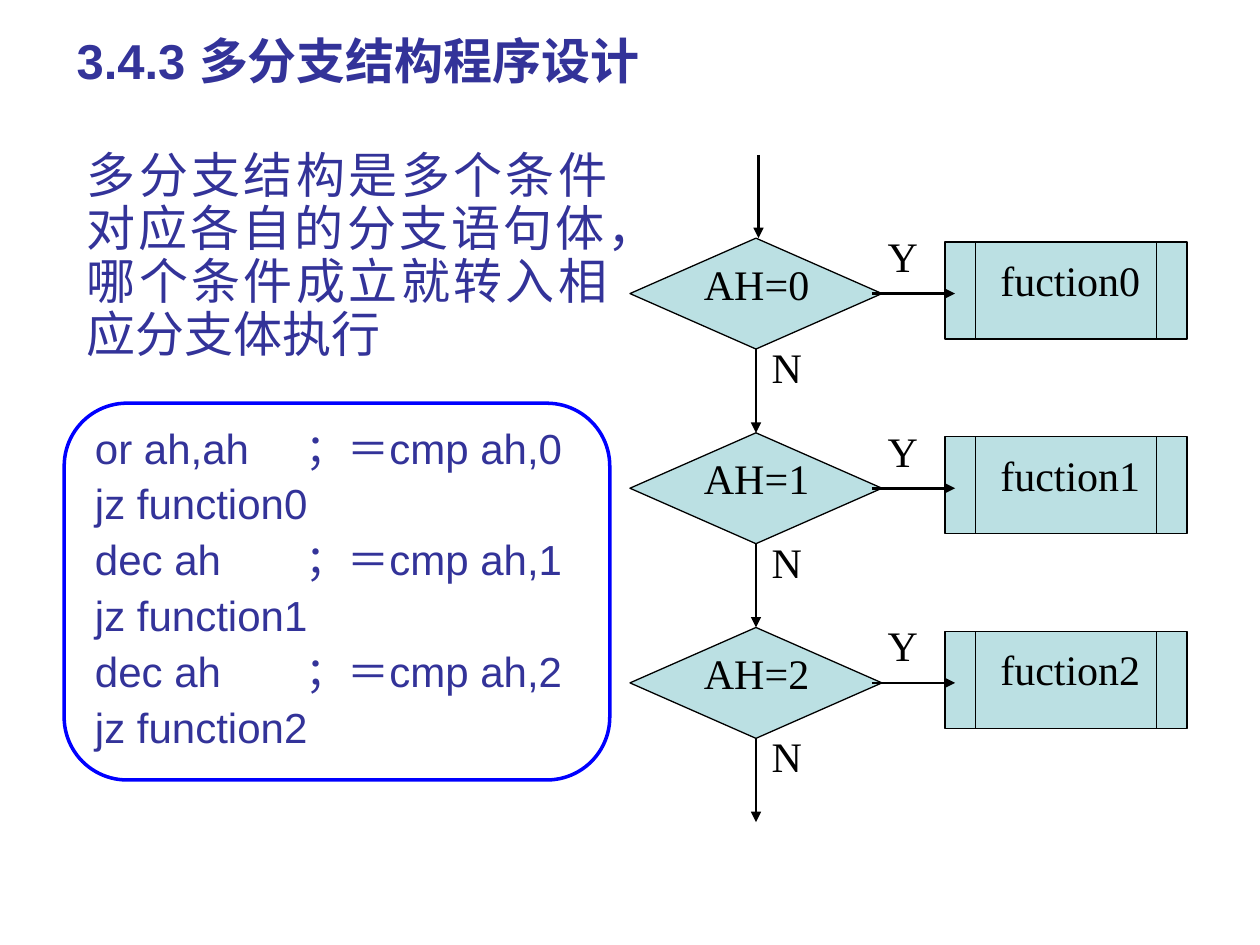
"""Build the slide on multi-branch program structure with its flowchart."""
from dataclasses import dataclass

from lxml import etree
from pptx import Presentation
from pptx.dml.color import RGBColor
from pptx.enum import shapes, text
from pptx.oxml import ns
from pptx.util import Inches, Pt

TITLE = "3.4.3 多分支结构程序设计"
SUMMARY = "多分支结构是多个条件对应各自的分支语句体，哪个条件成立就转入相应分支体执行"
CODE = [
    "or ah,ah\t；＝cmp ah,0",
    "jz function0",
    "dec ah\t；＝cmp ah,1",
    "jz function1",
    "dec ah\t；＝cmp ah,2",
    "jz function2",
]
BRANCHES = [("AH=0", "fuction0"), ("AH=1", "fuction1"), ("AH=2", "fuction2")]


@dataclass(frozen=True)
class Theme:
    ink: str = "333399"
    black: str = "000000"
    node: str = "BBE0E3"
    paper: str = "FFFFFF"
    frame: str = "0000FF"
    heading: int = 28
    body: int = 24
    sans: str = "Arial"
    serif: str = "Times New Roman"


THEME = Theme()
FIRST_TOP, STEP = 1.89, 3.09 / 2
DECISION_LEFT, DECISION_W, DECISION_H = 5, 2, 0.88
CENTER = DECISION_LEFT + DECISION_W / 2

prs = Presentation()
prs.slide_width, prs.slide_height = Inches(10), Inches(7.5)
slide = prs.slides.add_slide(prs.slide_layouts[6])


def write(paragraph, words, size, font, color, bold=False):
    run = paragraph.add_run()
    run.text = words
    run.font.size = Pt(size)
    run.font.name = font
    run.font.bold = bold
    run.font.color.rgb = RGBColor.from_string(color)


def add_text(words, box, size, font, color, align=text.PP_ALIGN.LEFT, bold=False):
    frame = slide.shapes.add_textbox(*map(Inches, box)).text_frame
    frame.word_wrap = True
    frame.paragraphs[0].alignment = align
    write(frame.paragraphs[0], words, size, font, color, bold)
    return frame


def add_label(words, left, top, width):
    add_text(words, (left, top, width, 0.5), THEME.body, THEME.serif,
             THEME.black, text.PP_ALIGN.CENTER)


def add_node(kind, box, fill, line, weight):
    node = slide.shapes.add_shape(kind, *map(Inches, box))
    node.shadow.inherit = False
    node.fill.solid()
    node.fill.fore_color.rgb = RGBColor.from_string(fill)
    node.line.color.rgb = RGBColor.from_string(line)
    node.line.width = Pt(weight)
    return node


def add_arrow(x1, y1, x2, y2):
    arrow = slide.shapes.add_connector(
        shapes.MSO_CONNECTOR.STRAIGHT, *map(Inches, (x1, y1, x2, y2)))
    arrow.line.color.rgb = RGBColor.from_string(THEME.black)
    arrow.line.width = Pt(1.5)
    etree.SubElement(arrow.line._get_or_add_ln(), ns.qn("a:tailEnd"), type="triangle")
    etree.SubElement(arrow._element.spPr, ns.qn("a:effectLst"))


heading = add_text(TITLE, (0.51, 0.2, 9, 0.55), THEME.heading, THEME.sans,
                   THEME.ink, bold=True)
heading.vertical_anchor = text.MSO_ANCHOR.MIDDLE

summary = add_text(SUMMARY, (0.59, 1.15, 4.33, 1.78), THEME.heading, THEME.sans,
                   THEME.ink, text.PP_ALIGN.JUSTIFY)
summary.paragraphs[0].line_spacing = 0.9

add_arrow(6.02, 1.23, 6.02, FIRST_TOP)
for index, (condition, function) in enumerate(BRANCHES):
    top = FIRST_TOP + index * STEP
    middle, bottom = top + DECISION_H / 2, top + DECISION_H
    add_node(shapes.MSO_SHAPE.FLOWCHART_DECISION,
             (DECISION_LEFT, top, DECISION_W, DECISION_H), THEME.node, THEME.black, 0.75)
    add_label(condition, 5.42, top + 0.11, 1.17)
    add_node(shapes.MSO_SHAPE.FLOWCHART_PREDEFINED_PROCESS,
             (7.5, top + 0.03, 1.92, 0.77), THEME.node, THEME.black, 0.75)
    add_arrow(6.92, middle, 7.58, middle)
    add_label(function, 7.58, top + 0.08, 1.83)
    add_arrow(CENTER, bottom, CENTER, top + STEP)
    add_label("Y", 6.75, top - 0.11, 0.83)
    add_label("N", 5.83, bottom - 0.11, 0.83)

listing = add_node(shapes.MSO_SHAPE.ROUNDED_RECTANGLE, (0.51, 3.2, 4.33, 2.99),
                   THEME.paper, THEME.frame, 2).text_frame
listing.vertical_anchor = text.MSO_ANCHOR.TOP
for index, statement in enumerate(CODE):
    line = listing.add_paragraph() if index else listing.paragraphs[0]
    line.alignment = text.PP_ALIGN.LEFT
    line.line_spacing = 0.9
    line.space_before = Pt(6)
    tabs = etree.SubElement(line._p.get_or_add_pPr(), ns.qn("a:tabLst"))
    etree.SubElement(tabs, ns.qn("a:tab"), pos=str(Inches(1.67)), algn="l")
    write(line, statement, THEME.body, THEME.sans, THEME.ink)

prs.save("out.pptx")
